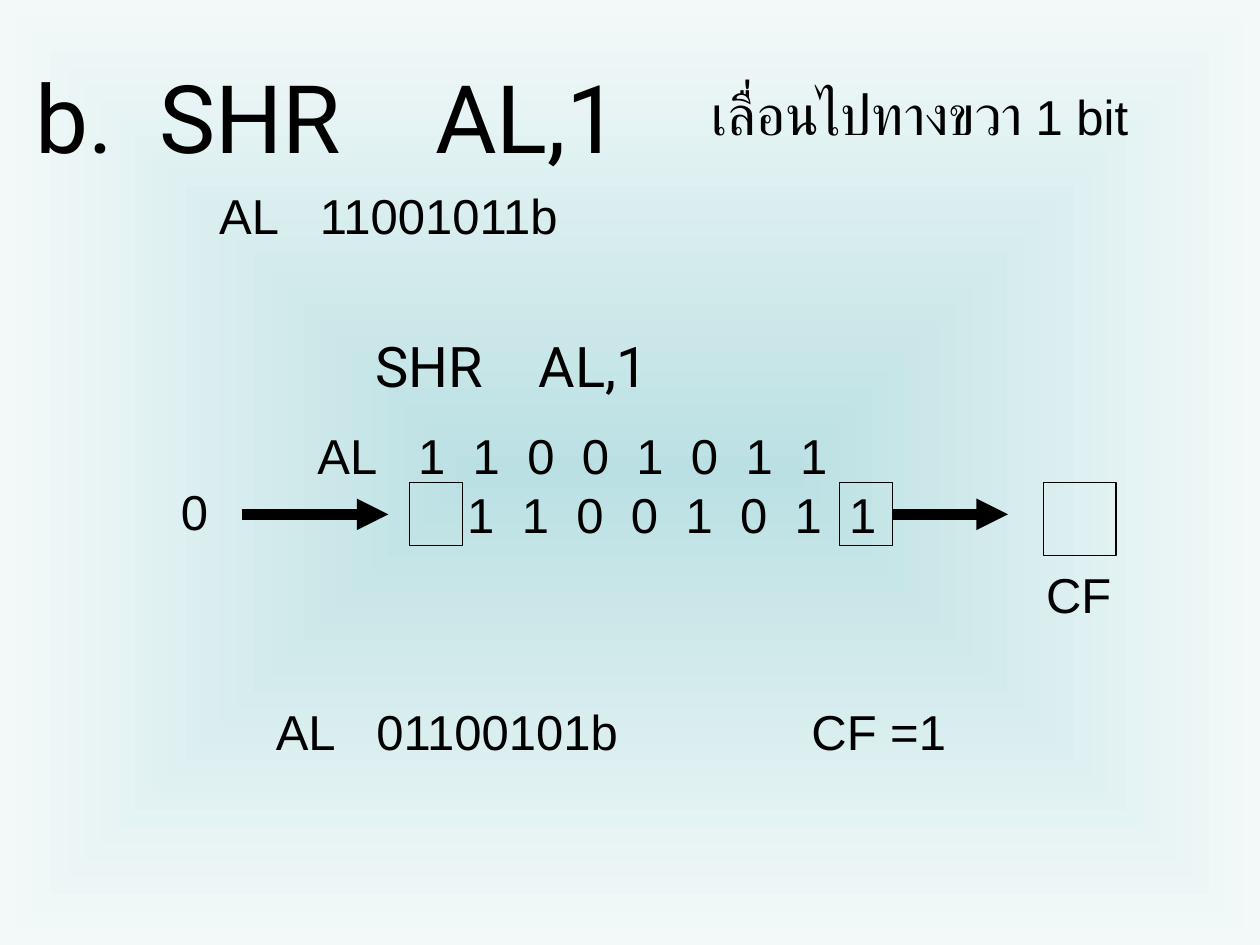
from pptx import Presentation
from pptx.dml.color import RGBColor
from pptx.enum.shapes import MSO_CONNECTOR, MSO_SHAPE
from pptx.enum.text import MSO_ANCHOR, MSO_AUTO_SIZE, PP_ALIGN
from pptx.oxml.ns import qn
from pptx.oxml.xmlchemy import OxmlElement
from pptx.util import Cm, Pt

BLACK = RGBColor(0x00, 0x00, 0x00)
TEAL = RGBColor(0xBB, 0xE0, 0xE3)
PALE = RGBColor(0xF3, 0xF9, 0xF9)
LEFT, CENTER = PP_ALIGN.LEFT, PP_ALIGN.CENTER
TOP, FIXED = MSO_ANCHOR.TOP, MSO_AUTO_SIZE.NONE
RECT, LINE = MSO_SHAPE.RECTANGLE, MSO_CONNECTOR.STRAIGHT

STEP = 1.1    # gap between bits
GAP = 2.03    # from the register name to its value
MID = 10.37   # height of the arrows
ROW = 9.73    # top of the boxes


def add_node(parent, tag, **attrs):
    node = OxmlElement(tag)
    for key, value in attrs.items():
        node.set(key, str(value))
    parent.append(node)
    return node


def set_tabs(para, stops):
    tabs = add_node(para._p.get_or_add_pPr(), "a:tabLst")
    for stop in stops:
        add_node(tabs, "a:tab", pos=int(Cm(stop)), algn="l")


def add_text(slide, box, *lines, size=28, font="Arial", align=LEFT, tabs=(), shape=None):
    """Each line is a list of (text, size) runs or a plain string; tabs go line by line."""
    area = [Cm(n) for n in box]
    if shape is None:
        shape = slide.shapes.add_textbox(*area)
    else:
        shape.left, shape.top, shape.width, shape.height = area
    frame = shape.text_frame
    frame.auto_size, frame.vertical_anchor = FIXED, TOP
    frame.word_wrap = bool(tabs)
    if tabs:
        frame.margin_right = 0
    for i, line in enumerate(lines):
        para = frame.add_paragraph() if i else frame.paragraphs[0]
        para.alignment = align
        if tabs:
            set_tabs(para, tabs[i])
        for text, pts in [(line, size)] if isinstance(line, str) else line:
            run = para.add_run()
            run.text = text
            run.font.name, run.font.size = font, Pt(pts)
            run.font.color.rgb = BLACK


def add_box(slide, left, width, height):
    box = slide.shapes.add_shape(RECT, Cm(left), Cm(ROW), Cm(width), Cm(height))
    box.shadow.inherit = False
    box.fill.background()
    box.line.color.rgb = BLACK
    box.line.width = Pt(0.75)


def add_arrow(slide, start, end):
    arrow = slide.shapes.add_connector(LINE, Cm(start), Cm(MID), Cm(end), Cm(MID))
    arrow.line.color.rgb = BLACK
    arrow.line.width = Pt(6)
    add_node(arrow.line._get_or_add_ln(), "a:tailEnd", type="triangle")
    add_node(arrow._element.spPr, "a:effectLst")


def paint_back(slide):
    fill = slide.background.fill
    fill.gradient()
    for stop, color in zip(fill.gradient_stops, (TEAL, PALE)):
        stop.color.rgb = color
    # Spread the colours from the centre in rectangles
    grad = next(slide.element.iter(qn("a:gradFill")))
    grad.remove(grad.find(qn("a:lin")))
    way = add_node(grad, "a:path", path="rect")
    add_node(way, "a:fillToRect", l=50000, t=50000, r=50000, b=50000)


def main():
    prs = Presentation()
    prs.slide_width, prs.slide_height = Cm(25.4), Cm(19.05)
    slide = prs.slides.add_slide(prs.slide_layouts[5])
    paint_back(slide)

    # Heading and starting value
    add_text(slide, (0.46, 1.07, 12.6, 2.54), "b.\tSHR\tAL,1", size=54,
             font="Roboto", tabs=[(2.5, 8.06)], shape=slide.shapes.title)
    add_text(slide, (14.1, 1.47, 8.94, 1.63), [("เลื่อนไปทางขวา", 32), (" 1 bit", 28)])
    add_text(slide, (4.17, 3.61, 7.47, 1.45), "AL\t11001011b", tabs=[(GAP,)])

    # Bits before and after the shift
    add_text(slide, (7.32, 6.55, 6.12, 1.63), "SHR\tAL,1", size=32,
             font="Roboto", tabs=[(3.29,)])
    bits = "\t".join("11001011")
    stops = [[start + STEP * i for i in range(8)] for start in (GAP, 3.02)]
    add_text(slide, (6.15, 8.46, 12.01, 2.64), "AL\t" + bits, "\t" + bits, tabs=stops)

    # Bit moved in, bit moved out, carry flag
    for left, width, height in ((8.26, 1.07, 1.27), (16.93, 1.07, 1.27), (21.03, 1.47, 1.47)):
        add_box(slide, left, width, height)
    add_arrow(slide, 4.87, 7.83)
    add_arrow(slide, 17.99, 20.32)
    add_text(slide, (3.4, 9.58, 1.04, 1.45), "0", align=CENTER)
    add_text(slide, (20.83, 11.25, 1.83, 1.45), "CF", align=CENTER)

    # Result
    add_text(slide, (5.31, 14.02, 7.47, 1.45), "AL\t01100101b", tabs=[(GAP,)])
    add_text(slide, (16.1, 14.02, 3.23, 1.45), "CF =1", align=CENTER)

    prs.save("out.pptx")


if __name__ == "__main__":
    main()
